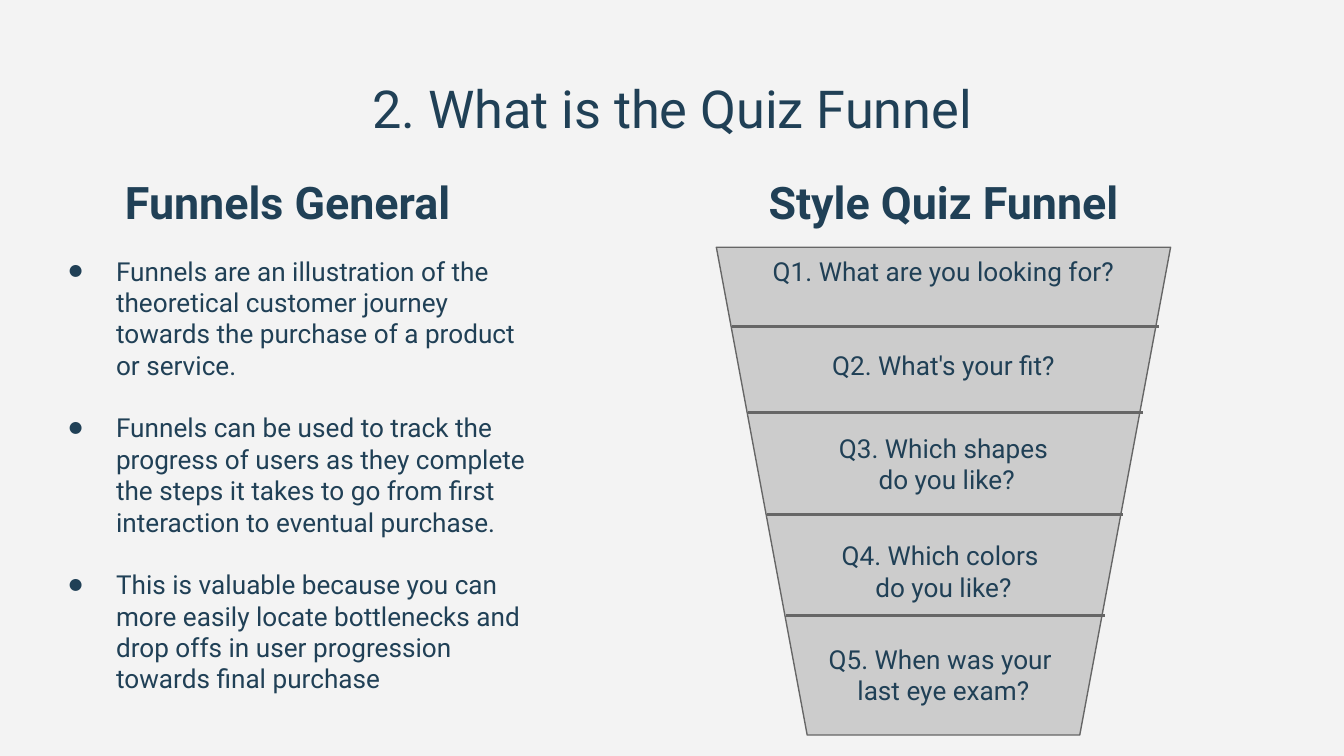
from collections import namedtuple

from lxml import etree
from pptx import Presentation
from pptx.dml.color import RGBColor
from pptx.enum.shapes import MSO_CONNECTOR, MSO_SHAPE
from pptx.enum.text import MSO_ANCHOR, MSO_AUTO_SIZE, PP_ALIGN
from pptx.oxml.ns import qn
from pptx.util import Inches, Pt

CENTER, LEFT = PP_ALIGN.CENTER, PP_ALIGN.LEFT
TOP, MIDDLE = MSO_ANCHOR.TOP, MSO_ANCHOR.MIDDLE
NO_AUTOFIT = MSO_AUTO_SIZE.NONE
FUNNEL = MSO_SHAPE.FLOWCHART_MANUAL_OPERATION
STRAIGHT = MSO_CONNECTOR.STRAIGHT

WIDTH = Inches(10)
HEIGHT = WIDTH * 9 // 16
FONT = "Roboto"
NAVY, PALE, GREY, OUTLINE = "204056", "F3F3F3", "CCCCCC", "666666"
FUNNEL_TAPER = 0.2
DIVIDER_LEVELS = [16.25, 33.88, 54.82, 75.48]

Box = namedtuple("Box", "left top width height")

POINTS = [
    "Funnels are an illustration of the theoretical customer journey "
    "towards the purchase of a product or service.",
    "Funnels can be used to track the progress of users as they complete "
    "the steps it takes to go from first interaction to eventual purchase.",
    "This is valuable because you can more easily locate bottlenecks and "
    "drop offs in user progression towards final purchase",
]
QUESTIONS = [
    (14.2, ["Q1. What are you looking for?"]),
    (33.6, ["Q2. What's your fit?"]),
    (27.7, ["Q3. Which shapes", " do you like?"]),
    (24, ["Q4. Which colors ", "do you like?"]),
    (21.8, ["Q5. When was your ", "last eye exam?"]),
]


def color(hex_code):
    return RGBColor.from_string(hex_code)


def share(left, top, width, height):
    return Box(int(WIDTH * left / 100), int(HEIGHT * top / 100),
               int(WIDTH * width / 100), int(HEIGHT * height / 100))


def set_frame(holder, anchor=TOP):
    frame = holder.text_frame
    frame.word_wrap = True
    frame.auto_size = NO_AUTOFIT
    frame.vertical_anchor = anchor
    frame.margin_left = frame.margin_right = Inches(0.1)
    frame.margin_top = frame.margin_bottom = Inches(0.1)
    return frame


def add_bullet(paragraph):
    props = paragraph._p.get_or_add_pPr()
    props.set("marL", str(Inches(0.5)))
    props.set("indent", str(Inches(-0.35)))
    bullet_color = etree.SubElement(props, qn("a:buClr"))
    etree.SubElement(bullet_color, qn("a:srgbClr"), val=NAVY)
    etree.SubElement(props, qn("a:buSzPct"), val="60000")
    etree.SubElement(props, qn("a:buFont"), typeface=FONT)
    etree.SubElement(props, qn("a:buChar"), char="●")


def write(frame, text, size=14, bold=False, align=CENTER, before=0, bullet=False):
    first = not frame.paragraphs[0].runs
    paragraph = frame.paragraphs[0] if first else frame.add_paragraph()
    if bullet:
        add_bullet(paragraph)
    paragraph.alignment = align
    paragraph.space_before = Pt(before)
    run = paragraph.add_run()
    run.text = text
    run.font.name = FONT
    run.font.size = Pt(size)
    run.font.bold = bold
    run.font.color.rgb = color(NAVY)


def place_title(slide, box):
    title = slide.shapes.title
    title.left, title.top, title.width, title.height = box
    write(set_frame(title, MIDDLE), "2. What is the Quiz Funnel", size=28)


def place_general(slide, box):
    frame = set_frame(slide.shapes.add_textbox(*box))
    write(frame, "Funnels General", size=24, bold=True)
    for index, point in enumerate(POINTS):
        write(frame, point, align=LEFT, before=16.8 if index else 14.2, bullet=True)


def place_funnel(slide, box):
    funnel = slide.shapes.add_shape(FUNNEL, *box)
    funnel.shadow.inherit = False
    funnel.fill.solid()
    funnel.fill.fore_color.rgb = color(GREY)
    funnel.line.color.rgb = color(OUTLINE)
    funnel.line.width = Pt(0.75)


def place_questions(slide, box):
    frame = set_frame(slide.shapes.add_textbox(*box))
    write(frame, "Style Quiz Funnel", size=24, bold=True)
    for gap, lines in QUESTIONS:
        for index, line in enumerate(lines):
            write(frame, line, before=0 if index else gap)


def place_dividers(slide, box):
    for level in DIVIDER_LEVELS:
        y = int(box.top + box.height * level / 100)
        inset = int(box.width * FUNNEL_TAPER * level / 100)
        start = box.left + inset + Inches(0.01)
        end = box.left + box.width - inset + Inches(0.02)
        divider = slide.shapes.add_connector(STRAIGHT, start, y, end, y)
        divider.line.color.rgb = color(OUTLINE)
        divider.line.width = Pt(1.5)
        etree.SubElement(divider._element.spPr, qn("a:effectLst"))


def main():
    deck = Presentation()
    deck.slide_width, deck.slide_height = WIDTH, HEIGHT
    slide = deck.slides.add_slide(deck.slide_layouts[5])
    slide.background.fill.solid()
    slide.background.fill.fore_color.rgb = color(PALE)
    funnel_box = share(53.3, 32.71, 33.8, 64.53)
    place_title(slide, share(8.25, 0, 83.5, 28.44))
    place_funnel(slide, funnel_box)
    place_general(slide, share(2.65, 21.33, 37.5, 64.53))
    place_questions(slide, share(53.3, 21.33, 33.8, 78.67))
    place_dividers(slide, funnel_box)
    deck.save("out.pptx")


if __name__ == "__main__":
    main()
